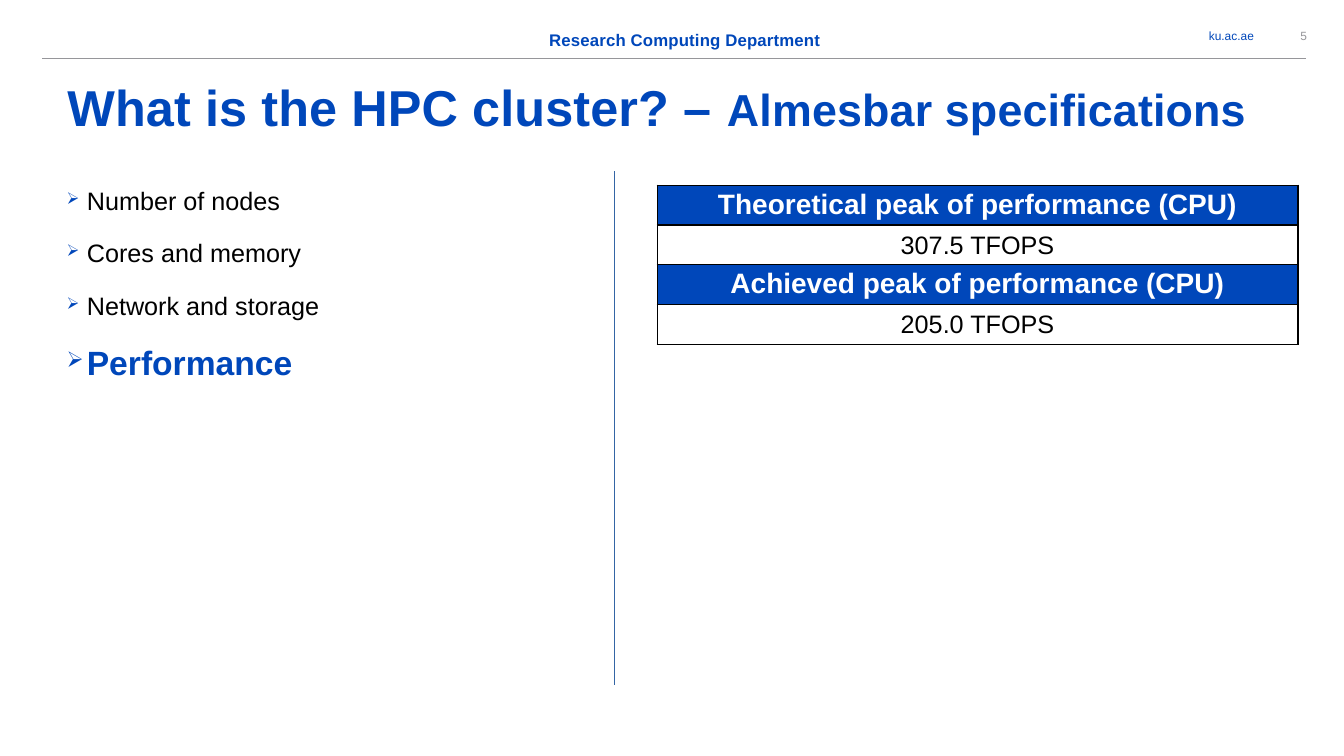
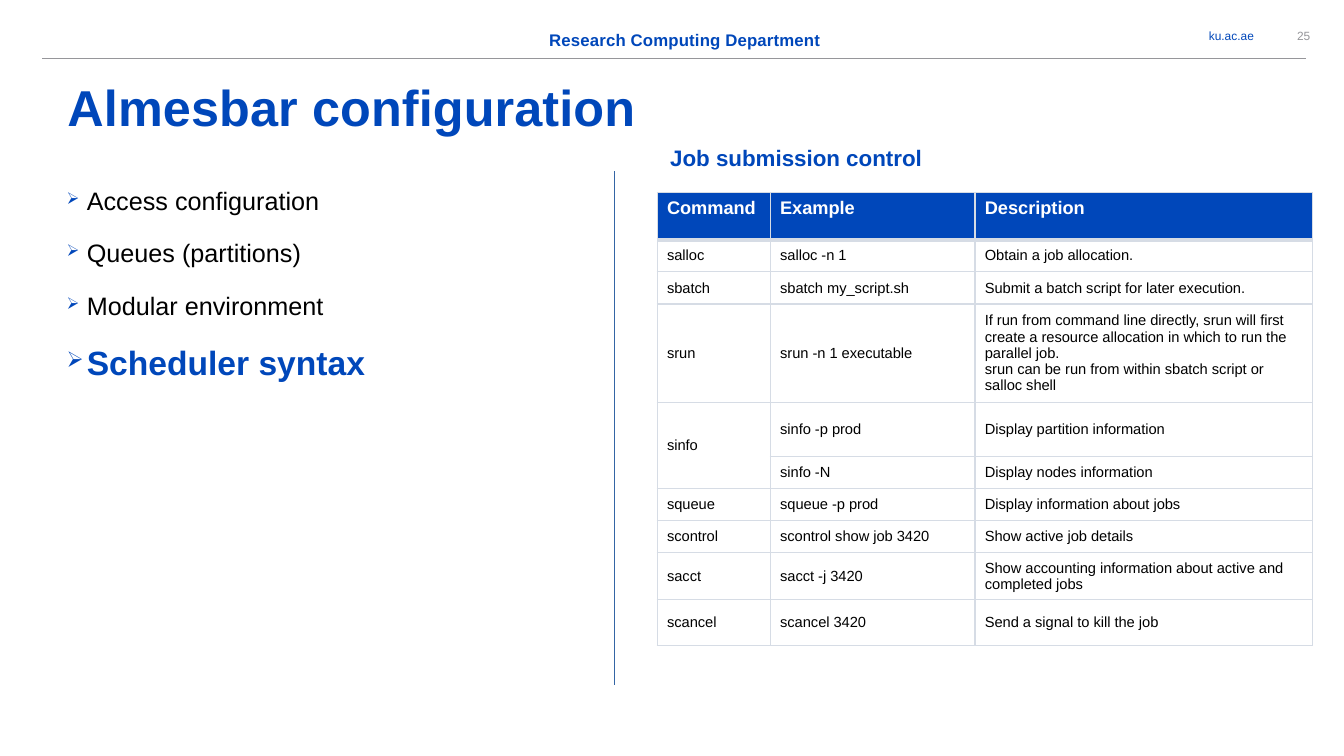
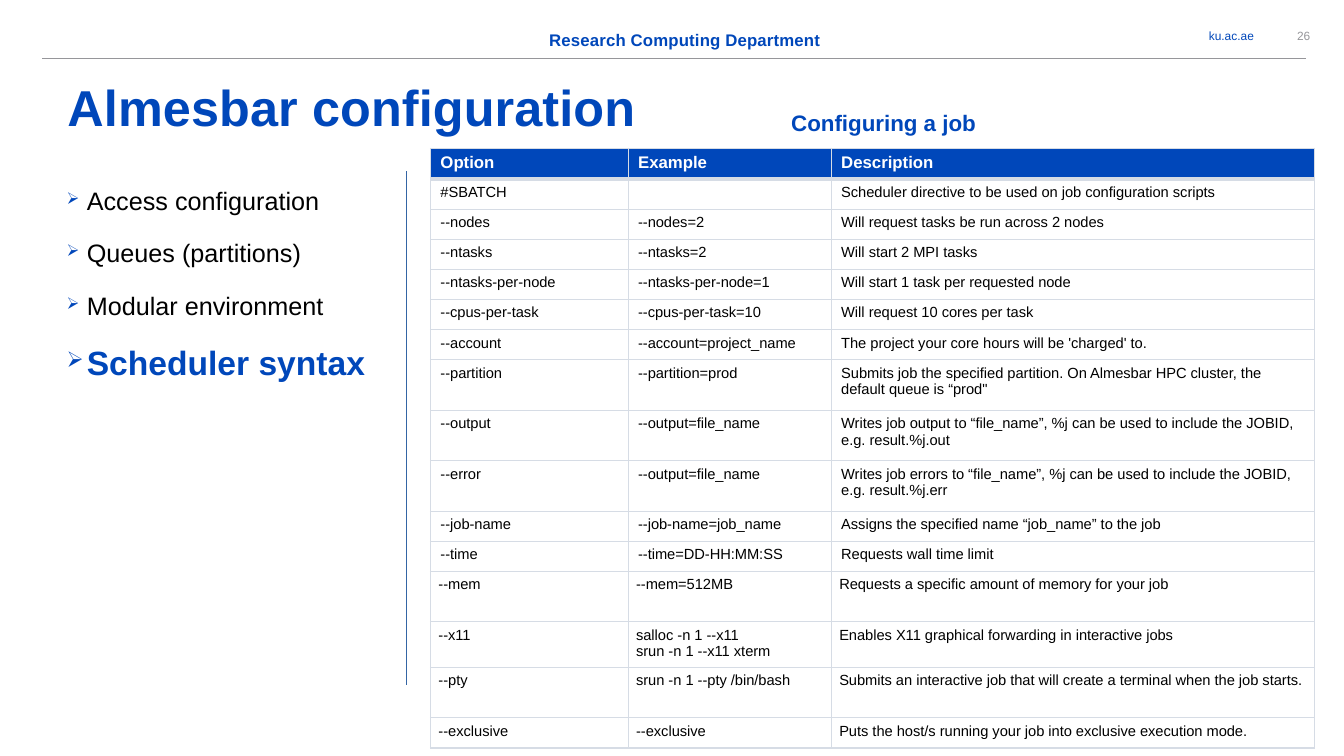
import lxml.etree
import pptx
import pptx.dml.color
import pptx.enum.shapes
import pptx.enum.text
import pptx.oxml.ns
import pptx.util

Cm, Pt = pptx.util.Cm, pptx.util.Pt
ALIGN, ANCHOR = pptx.enum.text.PP_ALIGN, pptx.enum.text.MSO_ANCHOR
BLUE, GRAY, BLACK, WHITE = "0047BA", "96969A", "000000", "FFFFFF"
DIVIDER, PALE = "3465A4", "D6DCE5"


def color(code):
    return pptx.dml.color.RGBColor.from_string(code)


def add_xml(parent, tag, **attributes):
    values = {name: str(value) for name, value in attributes.items()}
    return lxml.etree.SubElement(parent, pptx.oxml.ns.qn(tag), values)


def set_all(target, values):
    for name, value in values.items():
        setattr(target, name, value)


class Slides:
    """Holds the deck, its style and the page being filled."""
    font_name = "Arial"

    def __init__(self):
        self.deck = pptx.Presentation()
        set_all(self.deck, {"slide_width": Cm(33.87), "slide_height": Cm(19.05)})
        self.page = None

    def new_page(self, number, title, divider_x):
        """Start a page with the header, the title and the vertical divider."""
        self.page = self.deck.slides.add_slide(self.deck.slide_layouts[6])
        small = {"size": 8.5, "anchor": ANCHOR.MIDDLE}
        self.text((28.93, 0.56, 2.67, 0.66), "ku.ac.ae", align=ALIGN.RIGHT, **small)
        self.line((1.07, 1.47), (32.92, 1.47), GRAY)
        self.text((1.7, 1.93, 30.45, 1.55), title, size=36, bold=True, tracking=10)
        self.text((13.21, 0.74, 8.1, 0.51), "Research Computing Department", size=12,
                  bold=True, align=ALIGN.CENTER, tracking=10)
        self.text((32.13, 0.56, 1.45, 0.66), number, ink=GRAY, align=ALIGN.CENTER, **small)
        self.line((divider_x, 4.32), (divider_x, 17.27), DIVIDER)

    def span(self, para, text, size, ink=BLUE, bold=False, tracking=None):
        span = para.add_run()
        span.text = text
        set_all(span.font, {"name": self.font_name, "size": Pt(size), "bold": bold})
        span.font.color.rgb = color(ink)
        if tracking:
            span.font._element.set("spc", str(tracking))

    def frame(self, at, anchor=ANCHOR.TOP):
        """Add a text box without insets and return its text frame."""
        frame = self.page.shapes.add_textbox(*map(Cm, at)).text_frame
        set_all(frame, {"word_wrap": True, "vertical_anchor": anchor})
        set_all(frame, dict.fromkeys(
            ("margin_left", "margin_top", "margin_right", "margin_bottom"), 0))
        return frame

    def text(self, at, content, size, align=ALIGN.LEFT, anchor=ANCHOR.TOP, **look):
        """Add one paragraph; content is a string or (text, size) pairs."""
        para = self.frame(at, anchor).paragraphs[0]
        para.alignment = align
        pairs = [(content, size)] if isinstance(content, str) else content
        for words, points in pairs:
            self.span(para, words, points, **look)

    def line(self, start, end, ink):
        line = self.page.shapes.add_connector(
            pptx.enum.shapes.MSO_CONNECTOR.STRAIGHT, *map(Cm, start + end))
        line.line.color.rgb = color(ink)
        line.line.width = Pt(0.75)
        add_xml(line._element.spPr, "a:effectLst")

    def topics(self, names):
        """List the topics, with the last one, the current one, highlighted."""
        frame = self.frame((1.68, 4.67, 15.57, 10.31))
        for index, name in enumerate(names):
            para = frame.add_paragraph() if index else frame.paragraphs[0]
            props = para._p.get_or_add_pPr()
            props.set("marL", str(Cm(0.51)))
            props.set("indent", str(-Cm(0.51)))
            add_xml(add_xml(props, "a:buClr"), "a:srgbClr", val=BLUE)
            add_xml(props, "a:buSzPct", val=65000)
            add_xml(props, "a:buChar", char="➢")
            if index:
                para.space_before = Pt(15.8)
            if name == names[-1]:
                self.span(para, name, 24, bold=True)
            else:
                self.span(para, name, 18, BLACK)

    def cell(self, cell, text, size, header, borders, margins, anchor, **para_format):
        set_all(cell, {"vertical_anchor": anchor, **margins})
        props = cell._tc.get_or_add_tcPr()
        for side, (ink, width) in borders.items():
            edge = add_xml(props, "a:ln" + side, w=Pt(width))
            add_xml(add_xml(edge, "a:solidFill"), "a:srgbClr", val=ink)
        cell.fill.solid()
        cell.fill.fore_color.rgb = color(BLUE if header else WHITE)
        for index, words in enumerate(text.split("\n")):
            para = cell.text_frame.add_paragraph() if index else cell.text_frame.paragraphs[0]
            set_all(para, para_format)
            if words:
                self.span(para, words, size, WHITE if header else BLACK, header)
            else:
                para._p.get_or_add_endParaRPr().set("sz", str(int(size * 100)))

    def table(self, at, widths, heights, rows, sizes, headers=(0,), edge=(PALE, 0.96),
              rule=(PALE, 3), side_margin=lambda row: 0.25, anchor=ANCHOR.TOP, **para_format):
        """Add a table; sizes are for header and body, None joins the cell above."""
        table = self.page.shapes.add_table(
            len(rows), len(widths), *map(Cm, at), Cm(sum(widths)), Cm(sum(heights))).table
        table.horz_banding = False
        for column, width in zip(table.columns, widths):
            column.width = Cm(width)
        for index, (height, texts) in enumerate(zip(heights, rows)):
            table.rows[index].height = Cm(height)
            header = index in headers
            borders = {"L": edge, "R": edge,
                       "T": rule if index - 1 in headers else edge,
                       "B": rule if header else edge}
            side = Cm(side_margin(index))
            margins = {"margin_left": side, "margin_right": side,
                       "margin_top": Cm(0.13), "margin_bottom": Cm(0.13)}
            for column, text in enumerate(texts):
                self.cell(table.cell(index, column), text or "", sizes[0 if header else 1],
                          header, borders, margins, ANCHOR.TOP if header else anchor,
                          **para_format)
                if text is None:
                    table.cell(index - 1, column).merge(table.cell(index, column))


COMMANDS = [
    ("Command", "Example", "Description"),
    ("salloc", "salloc -n 1", "Obtain a job allocation."),
    ("sbatch", "sbatch my_script.sh", "Submit a batch script for later execution."),
    ("srun", "srun -n 1 executable",
     "If run from command line directly, srun will first create a resource allocation "
     "in which to run the parallel job.\n"
     "srun can be run from within sbatch script or salloc shell"),
    ("sinfo", "sinfo -p prod", "Display partition information"),
    (None, "sinfo -N", "Display nodes information"),
    ("squeue", "squeue -p prod", "Display information about jobs"),
    ("scontrol", "scontrol show job 3420", "Show active job details"),
    ("sacct", "sacct -j 3420", "Show accounting information about active and completed jobs"),
    ("scancel", "scancel 3420", "Send a signal to kill the job"),
]
OPTIONS = [
    ("Option", "Example", "Description"),
    ("#SBATCH", "", "Scheduler directive to be used on job configuration scripts"),
    ("--nodes", "--nodes=2", "Will request tasks be run across 2 nodes"),
    ("--ntasks", "--ntasks=2", "Will start 2 MPI tasks"),
    ("--ntasks-per-node", "--ntasks-per-node=1", "Will start 1 task per requested node"),
    ("--cpus-per-task", "--cpus-per-task=10", "Will request 10 cores per task"),
    ("--account", "--account=project_name",
     "The project your core hours will be 'charged' to."),
    ("--partition", "--partition=prod",
     "Submits job the specified partition. On Almesbar HPC cluster, the default queue is “prod\""),
    ("--output", "--output=file_name",
     "Writes job output to “file_name”, %j can be used to include the JOBID, e.g. result.%j.out"),
    ("--error", "--output=file_name",
     "Writes job errors to “file_name”, %j can be used to include the JOBID, e.g. result.%j.err"),
    ("--job-name", "--job-name=job_name", "Assigns the specified name “job_name” to the job"),
    ("--time", "--time=DD-HH:MM:SS", "Requests wall time limit"),
    ("--mem", "--mem=512MB", "Requests a specific amount of memory for your job"),
    ("--x11", "salloc -n 1 --x11\nsrun -n 1 --x11 xterm",
     "Enables X11 graphical forwarding in interactive jobs"),
    ("--pty", "srun -n 1 --pty /bin/bash",
     "Submits an interactive job that will create a terminal when the job starts."),
    ("--exclusive", "--exclusive",
     "Puts the host/s running your job into exclusive execution mode."),
]
CONFIGURATION = ["Access configuration", "Queues (partitions)", "Modular environment",
                 "Scheduler syntax"]


def main():
    slides = Slides()

    slides.new_page("5", [("What is the HPC cluster? – ", 36),
                          ("Almesbar specifications", 32)], 15.49)
    slides.topics(["Number of nodes", "Cores and memory", "Network and storage",
                   "Performance"])
    slides.table((16.56, 4.67), [16.15], [1] * 4,
                 [("Theoretical peak of performance (CPU)",), ("307.5 TFOPS",),
                  ("Achieved peak of performance (CPU)",), ("205.0 TFOPS",)],
                 (20, 18), headers=(0, 2), edge=(BLACK, 1), rule=(BLACK, 1),
                 side_margin=lambda row: 0.15, alignment=ALIGN.CENTER, line_spacing=Pt(21))

    slides.new_page("25", "Almesbar configuration", 15.49)
    slides.text((16.89, 3.63, 16.69, 13.72), "Job submission control", size=16, bold=True)
    slides.table((16.56, 4.85), [2.85, 5.16, 8.5],
                 [1.19, 0.81, 0.81, 2.47, 1.36, 0.81, 0.81, 0.81, 1.17, 1.17],
                 COMMANDS, (13, 10.5), anchor=ANCHOR.MIDDLE)
    slides.topics(CONFIGURATION)

    slides.new_page("26", "Almesbar configuration", 10.24)
    slides.text((19.94, 2.74, 6.4, 0.89), "Configuring a job", size=16, bold=True)
    tall = {"--partition", "--output", "--error", "--mem", "--pty"}
    heights = [1.27 if row[0] in tall else 1.15 if row[0] == "--x11" else 0.76
               for row in OPTIONS]
    slides.table((10.85, 3.74), [4.98, 5.12, 12.18], heights, OPTIONS, (12, 10.5),
                 side_margin=lambda row: 0.2 if row >= 12 else 0.25)
    slides.topics(CONFIGURATION)

    slides.deck.save("out.pptx")


if __name__ == "__main__":
    main()
